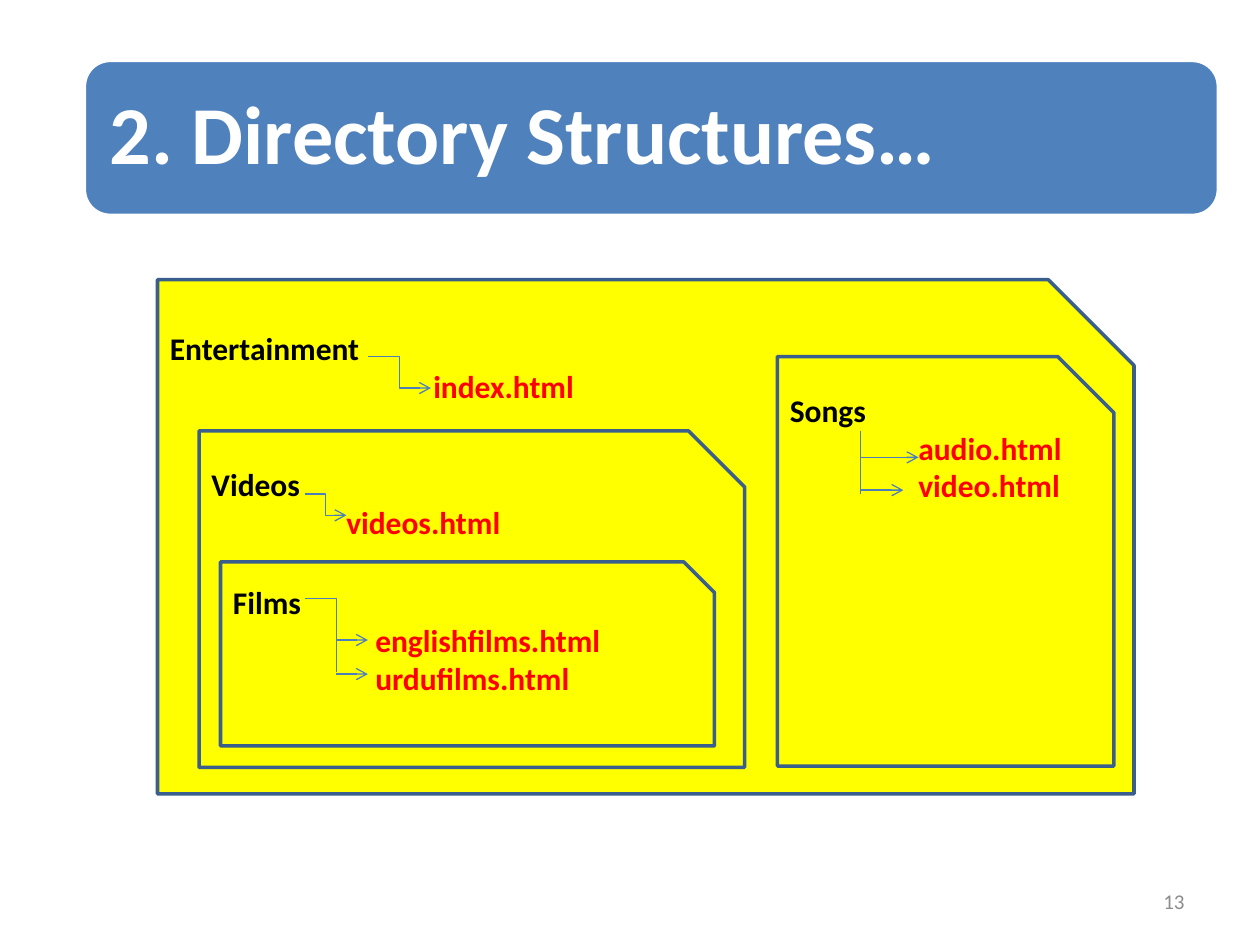
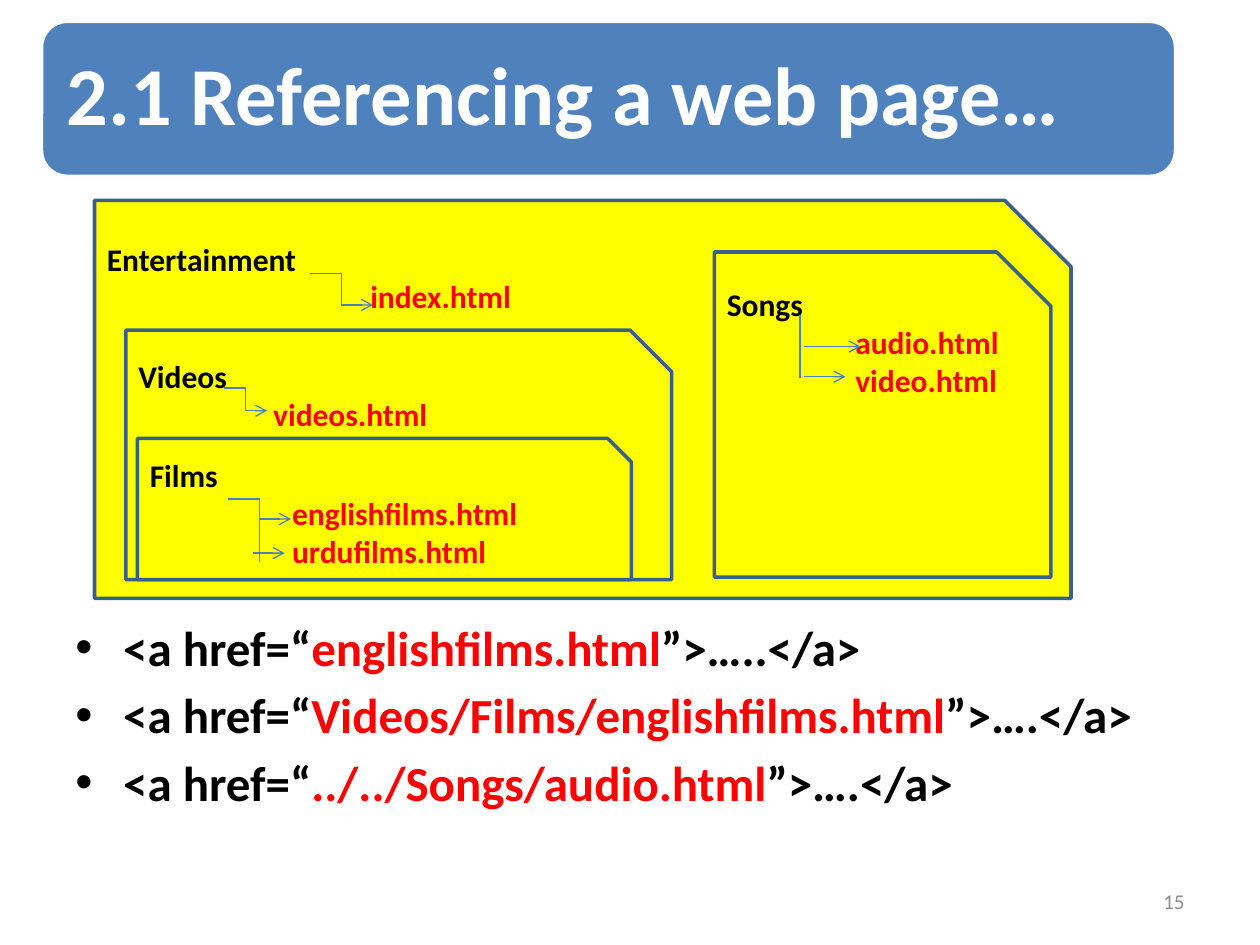
from dataclasses import dataclass

from lxml import etree
from pptx import Presentation
from pptx.dml.color import RGBColor
from pptx.enum.shapes import MSO_CONNECTOR, MSO_SHAPE
from pptx.enum.text import MSO_ANCHOR, PP_ALIGN
from pptx.oxml.ns import qn
from pptx.util import Inches, Pt

ROUND, SNIP = MSO_SHAPE.ROUNDED_RECTANGLE, MSO_SHAPE.SNIP_1_RECTANGLE
ELBOW, STRAIGHT = MSO_CONNECTOR.ELBOW, MSO_CONNECTOR.STRAIGHT
TOP, MIDDLE = MSO_ANCHOR.TOP, MSO_ANCHOR.MIDDLE
RIGHT = PP_ALIGN.RIGHT


@dataclass(frozen=True)
class Theme:
    font: str = "Calibri"
    band: str = "4F81BD"
    white: str = "FFFFFF"
    black: str = "000000"
    accent: str = "FF0000"
    folder: str = "FFFF00"
    folder_line: str = "3A5F8C"
    branch: str = "4B7EBC"
    muted: str = "8C8C8C"
    title_size: int = 47
    body_size: int = 28
    folder_size: int = 18
    number_size: int = 12
    outline: float = 2
    branch_width: float = 0.75


T = Theme()

# name: (width, file indent, files)
FOLDERS = {
    "Entertainment": (7.75, 2.09, ["index.html"]),
    "Videos": (4.33, 1.07, ["videos.html"]),
    "Films": (3.92, 1.13, ["englishfilms.html", "urdufilms.html"]),
    "Songs": (2.67, 1.02, ["audio.html", "video.html"]),
}

SLIDES = [
    {
        "title": "2. Directory Structures…",
        "title_at": (0.67, 0.48),
        "number": "13",
        "folders": {
            "Entertainment": (1.25, 2.22, 4.08),
            "Videos": (1.58, 3.42, 2.67),
            "Films": (1.75, 4.46, 1.46),
            "Songs": (6.17, 2.83, 3.25),
        },
        "elbows": [(2.92, 2.83, 3.42, 3.08), (2.42, 3.92, 2.75, 4.09), (2.42, 4.75, 2.92, 5.08)],
        "stems": [(2.67, 4.92, 2.67, 5.33), (6.83, 3.42, 6.83, 3.92)],
        "arrows": [(2.67, 5.35, 2.92, 5.35), (6.83, 3.63, 7.29, 3.63), (6.83, 3.89, 7.17, 3.89)],
        "links": [],
    },
    {
        "title": "2.1 Referencing a web page…",
        "title_at": (0.33, 0.17),
        "number": "15",
        "folders": {
            "Entertainment": (0.75, 1.59, 3.16),
            "Videos": (1, 2.62, 1.98),
            "Films": (1.09, 3.48, 1.12),
            "Songs": (5.67, 2, 2.58),
        },
        "elbows": [(2.46, 2.17, 2.96, 2.42), (1.78, 3.08, 2.12, 3.26), (1.81, 3.96, 2.31, 4.12)],
        "stems": [(2.06, 4.04, 2.06, 4.46), (6.35, 2.5, 6.35, 3)],
        "arrows": [(2.01, 4.39, 2.26, 4.39), (6.38, 2.75, 6.83, 2.75), (6.38, 2.99, 6.71, 2.99)],
        "links": [
            ("<a href=“", "englishfilms.html", "”>…..</a>"),
            ("<a href=“", "Videos/Films/englishfilms.html", "”>….</a>"),
            ("<a href=“", "../../Songs/audio.html", "”>….</a>"),
        ],
    },
]


def rgb(color):
    return RGBColor.from_string(color)


def style(p, size, color, bold=True, align=None):
    p.font.name = T.font
    p.font.size = Pt(size)
    p.font.bold = bold
    p.font.color.rgb = rgb(color)
    p.alignment = align or PP_ALIGN.LEFT


def add_run(p, text):
    r = p.add_run()
    r.text = text
    return r


def indent(p, left, first=0):
    pPr = p._p.get_or_add_pPr()
    pPr.set("marL", str(Inches(left)))
    pPr.set("indent", str(Inches(first)))
    return pPr


def paragraphs(tf, count):
    return [tf.paragraphs[0]] + [tf.add_paragraph() for _ in range(count - 1)]


def add_box(slide, kind, at, fill, line, anchor):
    sp = slide.shapes.add_shape(kind, *map(Inches, at))
    sp.shadow.inherit = False
    sp.fill.solid()
    sp.fill.fore_color.rgb = rgb(fill)
    sp.line.color.rgb = rgb(line)
    sp.line.width = Pt(T.outline)
    sp.text_frame.vertical_anchor = anchor
    return sp.text_frame


def add_text(slide, at, anchor):
    tf = slide.shapes.add_textbox(*map(Inches, at)).text_frame
    tf.word_wrap = True
    tf.vertical_anchor = anchor
    return tf


def add_title(slide, text, left, top):
    tf = add_box(slide, ROUND, (left, top, 9, 1.23), T.band, T.white, MIDDLE)
    tf.margin_left = tf.margin_right = Inches(0.14)
    p = tf.paragraphs[0]
    p.line_spacing = 0.9
    style(p, T.title_size, T.white)
    add_run(p, text)


def add_folder(slide, name, left, top, height):
    width, file_indent, files = FOLDERS[name]
    tf = add_box(slide, SNIP, (left, top, width, height), T.folder, T.folder_line, TOP)
    for p, text in zip(paragraphs(tf, len(files) + 1), [name] + files):
        is_file = text in files
        style(p, T.folder_size, T.accent if is_file else T.black)
        indent(p, file_indent if is_file else 0)
        add_run(p, text)


def add_branch(slide, kind, ends, arrow=True):
    cx = slide.shapes.add_connector(kind, *map(Inches, ends))
    cx.line.color.rgb = rgb(T.branch)
    cx.line.width = Pt(T.branch_width)
    if arrow:
        etree.SubElement(cx.line._get_or_add_ln(), qn("a:tailEnd"), type="arrow")
    etree.SubElement(cx._element.spPr, qn("a:effectLst"))


def add_links(slide, links):
    tf = add_text(slide, (0.5, 4.85, 9, 1.85), TOP)
    for p, (before, target, after) in zip(paragraphs(tf, len(links)), links):
        style(p, T.body_size, T.black)
        p.space_after = Pt(5)
        bullet = etree.Element(qn("a:buChar"), char="•")
        face = etree.Element(qn("a:buFont"), typeface="Arial")
        pPr = indent(p, 0.38, -0.38)
        pPr.find(qn("a:defRPr")).addprevious(face)
        face.addnext(bullet)
        add_run(p, before)
        add_run(p, target).font.color.rgb = rgb(T.accent)
        add_run(p, after)


def add_number(slide, number):
    p = add_text(slide, (7.17, 6.95, 2.33, 0.4), MIDDLE).paragraphs[0]
    style(p, T.number_size, T.muted, bold=False, align=RIGHT)
    add_run(p, number)


def build_slide(prs, data):
    s = prs.slides.add_slide(prs.slide_layouts[6])
    add_number(s, data["number"])
    if data["links"]:
        add_links(s, data["links"])
    for name, place in data["folders"].items():
        add_folder(s, name, *place)
    for ends in data["elbows"]:
        add_branch(s, ELBOW, ends)
    for ends in data["stems"]:
        add_branch(s, STRAIGHT, ends, arrow=False)
    for ends in data["arrows"]:
        add_branch(s, STRAIGHT, ends)
    add_title(s, data["title"], *data["title_at"])


def main():
    prs = Presentation()
    prs.slide_width, prs.slide_height = Inches(10), Inches(7.5)
    for data in SLIDES:
        build_slide(prs, data)
    prs.save("out.pptx")


if __name__ == "__main__":
    main()
